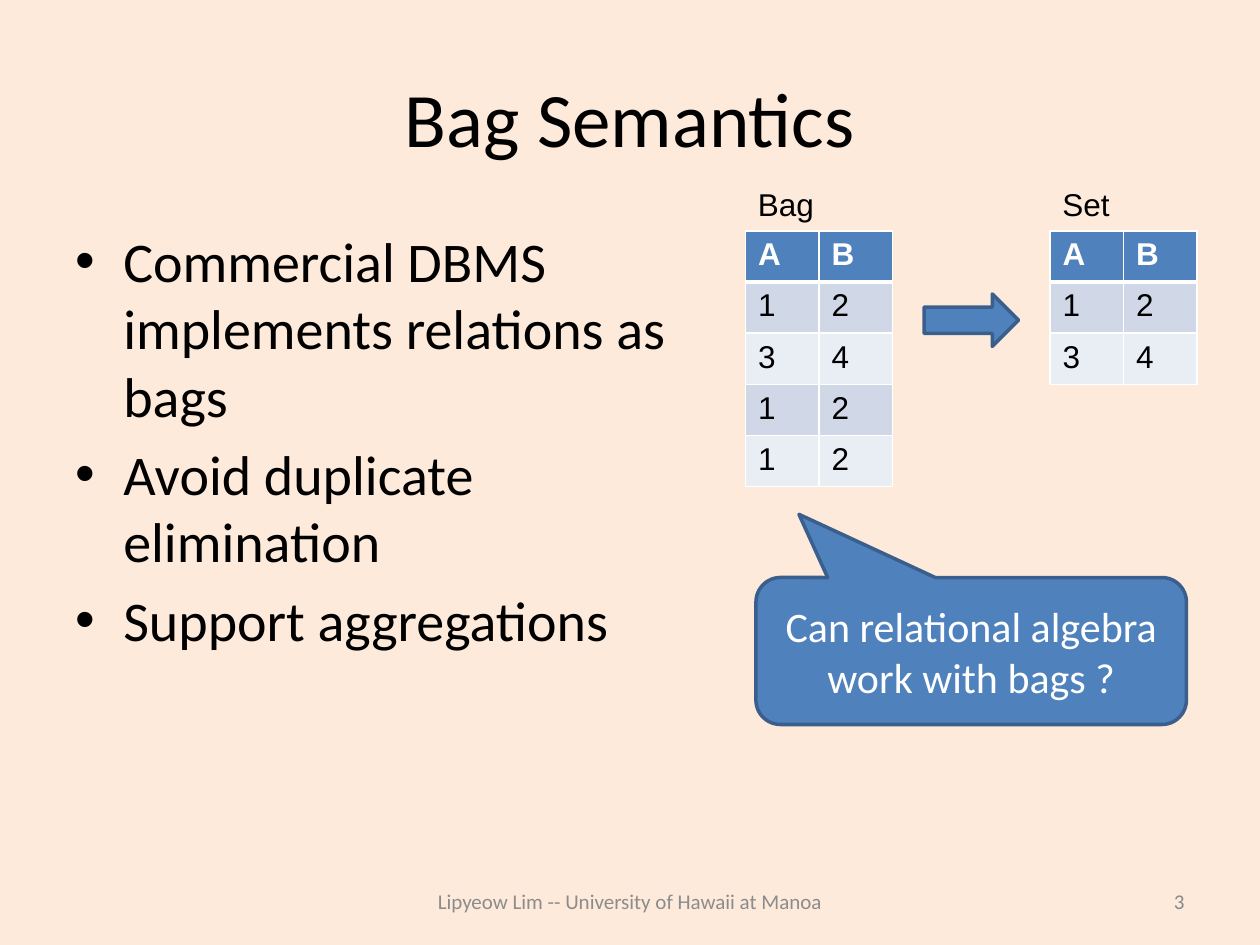
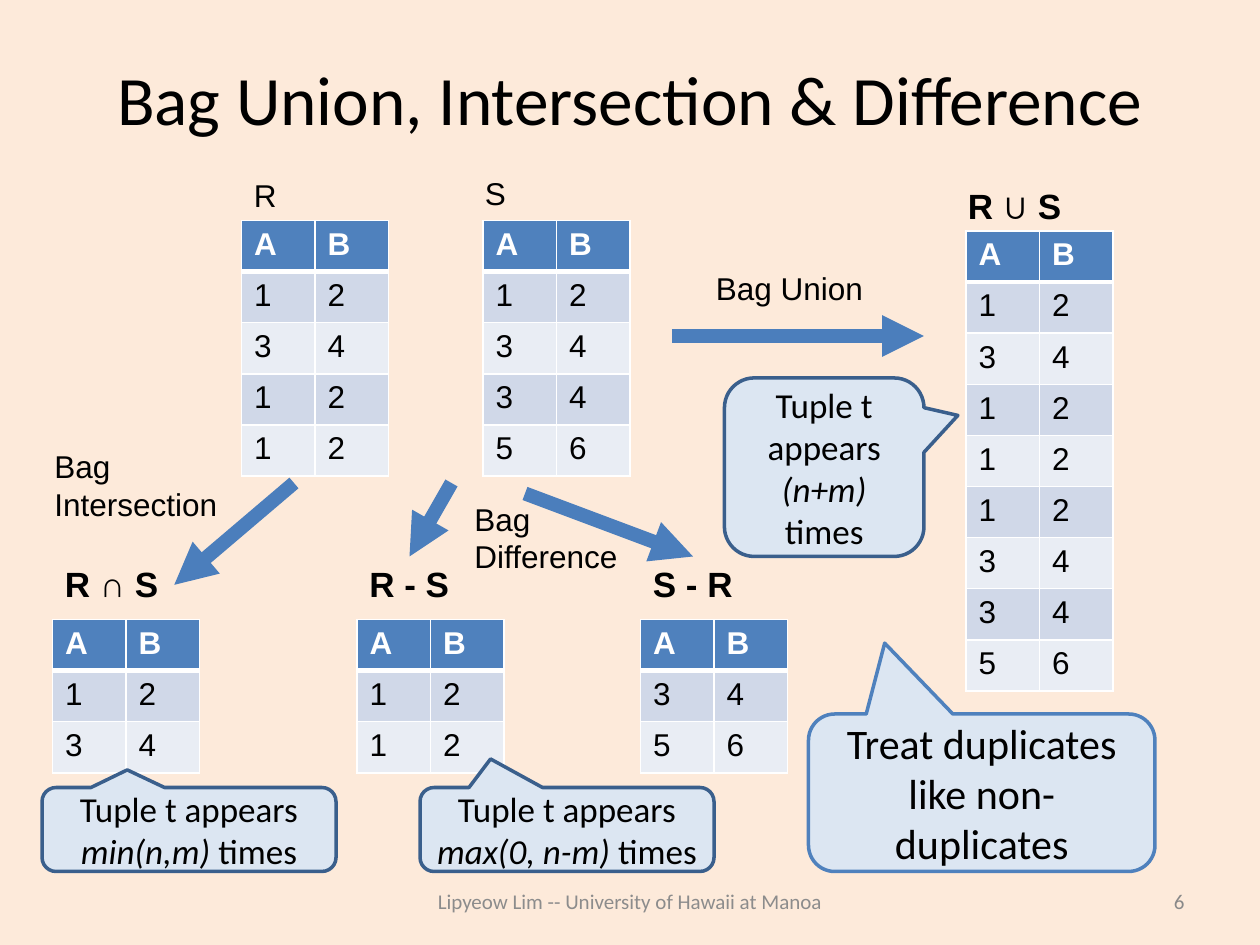
from dataclasses import dataclass
from lxml import etree
from pptx import Presentation, util as u
from pptx.dml.color import RGBColor
from pptx.enum import shapes, text
from pptx.oxml import ns


@dataclass(frozen=True)
class Theme:
    back: str = "FDEADA"
    ink: str = "000000"
    white: str = "FFFFFF"
    blue: str = "4F81BD"
    edge: str = "3A5F8C"
    arrow: str = "4B7EBC"
    pale: str = "DCE6F2"
    odd: str = "D0D8E8"
    even: str = "E9EDF4"
    foot: str = "8C8C8C"
    page: str = "898989"
    sans: str = "Calibri"
    plain: str = "Arial"
    head: float = 44
    fit: float = 39.6
    body: float = 32
    large: float = 24
    mid: float = 20
    small: float = 18
    tiny: float = 12


T = Theme()
deck = Presentation()
deck.slide_width, deck.slide_height = u.Inches(10), u.Inches(7.5)
COL, ROW = deck.slide_width / 120, deck.slide_height / 90
MID, LEFT, RIGHT = text.PP_ALIGN.CENTER, text.PP_ALIGN.LEFT, text.PP_ALIGN.RIGHT
CELL_W, CELL_H = 7, 4.87


def place(x, y, wide, high):
    return [round(n) for n in (x * COL, y * ROW, wide * COL, high * ROW)]


def say(frame, lines, size, face=T.sans, tint=T.ink, bold=False, align=LEFT, mark=False):
    for i, line in enumerate(lines):
        para = frame.paragraphs[0] if i == 0 else frame.add_paragraph()
        para.alignment = align
        if mark:
            props = para._p.get_or_add_pPr()
            props.set("marL", str(u.Inches(0.38)))
            props.set("indent", str(-u.Inches(0.38)))
            etree.SubElement(props, ns.qn("a:buFont")).set("typeface", T.plain)
            etree.SubElement(props, ns.qn("a:buChar")).set("char", "•")
            if i:
                para.space_before = u.Pt(size * 0.2)
        for j, part in enumerate(line.split("*")):
            run = para.add_run()
            run.text = part
            form = {"size": u.Pt(size), "name": face, "bold": bold, "italic": j % 2 == 1}
            for key, val in form.items():
                setattr(run.font, key, val)
            run.font.color.rgb = RGBColor.from_string(tint)


bag = ["12", "34", "12", "12"]
other = ["12", "34", "34", "56"]
pages = [
    {
        "num": "3", "title": ("Bag Semantics", 15, T.head),
        "body": ["Commercial DBMS implements relations as bags",
                 "Avoid duplicate elimination", "Support aggregations"],
        "tables": [(71, 22, bag), (100, 22, bag[:2])],
        "labels": [(71, 17, 7.8, ["Bag"], T.small), (100, 17, 7, ["Set"], T.small)],
        "lines": [],
        "blocks": [(88, 28, 9, 5, None, T.blue, T.edge, "", T.small, T.white),
                   (72, 55, 41, 14, (-0.4, -0.93), T.blue, T.edge,
                    "Can relational algebra work with bags ?", T.large, T.white)],
    },
    {
        "num": "6", "title": ("Bag Union, Intersection & Difference", 11.4, T.fit),
        "body": [],
        "tables": [(23, 21, bag), (46, 21, other),
                   (92, 22, ["12", "34", "12", "12", "12", "34", "34", "56"]),
                   (5, 59, ["12", "34"]), (34, 59, ["12", "12"]), (61, 59, ["34", "56"])],
        "labels": [(23, 16.2, 4.6, ["R"], T.small), (45, 16, 4.6, ["S"], T.small),
                   (91, 17, 11.5, ["R ∪ S"], T.mid), (5, 53, 11.5, ["R ∩ S"], T.mid),
                   (34, 53, 10.1, ["R - S"], T.mid), (61, 53, 10.1, ["S - R"], T.mid),
                   (67, 25, 16.6, ["Bag Union"], T.small),
                   (4, 42, 18.1, ["Bag", "Intersection"], T.small),
                   (44, 47, 16.2, ["Bag", "Difference"], T.small)],
        "lines": [(64, 32, 88, 32), (43, 46, 39, 53), (50, 47, 66, 53), (28, 46, 16.6, 55.7)],
        "blocks": [(77, 68, 33, 15, (-0.28, -0.95), T.pale, T.blue,
                    "Treat duplicates like non-duplicates", T.large, T.ink)]
        + [(x, y, wide, high, tip, T.pale, T.edge,
            f"Tuple t appears *{count} *times", T.mid, T.ink)
           for x, y, wide, high, tip, count in [
               (4, 75, 28, 8, (-0.21, -0.71), "min(n,m)"),
               (40, 75, 28, 8, (-0.26, -0.84), "max(0, n-m)"),
               (69, 36, 19, 17, (0.67, -0.29), "(n+m)")]],
    },
]

for page in pages:
    slide = deck.slides.add_slide(deck.slide_layouts[6])
    slide.background.fill.solid()
    slide.background.fill.fore_color.rgb = RGBColor.from_string(T.back)

    title, high, size = page["title"]
    texts = [
        ((6, 3.6, 108, high), [title], {"size": size, "align": MID}),
        ((36, 83.4, 48, 4.8), ["Lipyeow Lim -- University of Hawaii at Manoa"],
         {"size": T.tiny, "tint": T.foot, "align": MID}),
        ((86, 83.4, 28, 4.8), [page["num"]],
         {"size": T.tiny, "tint": T.page, "align": RIGHT}),
    ]
    if page["body"]:
        texts.append(((6, 21, 63, 59.4), page["body"], {"size": T.body, "mark": True}))
    for spot, lines, form in texts:
        frame = slide.shapes.add_textbox(*place(*spot)).text_frame
        frame.word_wrap = True
        frame.vertical_anchor = text.MSO_ANCHOR.TOP if "mark" in form else text.MSO_ANCHOR.MIDDLE
        say(frame, lines, **form)

    for x, y, rows in page["tables"]:
        data = ["AB"] + rows
        spot = place(x, y, 2 * CELL_W, CELL_H * len(data))
        grid = slide.shapes.add_table(len(data), 2, *spot).table
        for col in grid.columns:
            col.width = round(CELL_W * COL)
        for i, vals in enumerate(data):
            grid.rows[i].height = round(CELL_H * ROW)
            for j, val in enumerate(vals):
                cell = grid.cell(i, j)
                say(cell.text_frame, [val], T.small, T.plain,
                    T.ink if i else T.white, bold=i == 0)
                props = cell._tc.get_or_add_tcPr()
                for side in ("lnL", "lnR", "lnT", "lnB"):
                    thick = 3 if (i, side) in ((0, "lnB"), (1, "lnT")) else 1
                    line = etree.SubElement(props, ns.qn(f"a:{side}"), w=str(u.Pt(thick)))
                    fill = etree.SubElement(line, ns.qn("a:solidFill"))
                    etree.SubElement(fill, ns.qn("a:srgbClr"), val=T.white)
                cell.fill.solid()
                shade = T.blue if i == 0 else (T.even, T.odd)[i % 2]
                cell.fill.fore_color.rgb = RGBColor.from_string(shade)

    for x, y, wide, lines, size in page["labels"]:
        spot = place(x, y, wide, 1.2 + len(lines) * size / 5)
        frame = slide.shapes.add_textbox(*spot).text_frame
        frame.word_wrap = False
        say(frame, lines, size, T.plain, bold=size == T.mid)

    for ends in page["lines"]:
        link = slide.shapes.add_connector(shapes.MSO_CONNECTOR.STRAIGHT, *place(*ends))
        link.line.width = u.Pt(8)
        link.line.color.rgb = RGBColor.from_string(T.arrow)
        etree.SubElement(link.line._get_or_add_ln(), ns.qn("a:tailEnd"), type="triangle")
        etree.SubElement(link._element.spPr, ns.qn("a:effectLst"))

    for x, y, wide, high, tip, fill, edge, words, size, tint in page["blocks"]:
        kind = shapes.MSO_SHAPE.ROUNDED_RECTANGULAR_CALLOUT if tip else shapes.MSO_SHAPE.RIGHT_ARROW
        block = slide.shapes.add_shape(kind, *place(x, y, wide, high))
        block.shadow.inherit = False
        block.fill.solid()
        block.fill.fore_color.rgb = RGBColor.from_string(fill)
        block.line.color.rgb = RGBColor.from_string(edge)
        block.line.width = u.Pt(2)
        if tip:
            block.adjustments[0], block.adjustments[1] = tip
            block.text_frame.word_wrap = True
            block.text_frame.vertical_anchor = text.MSO_ANCHOR.MIDDLE
            say(block.text_frame, [words], size, tint=tint, align=MID)

deck.save("out.pptx")
